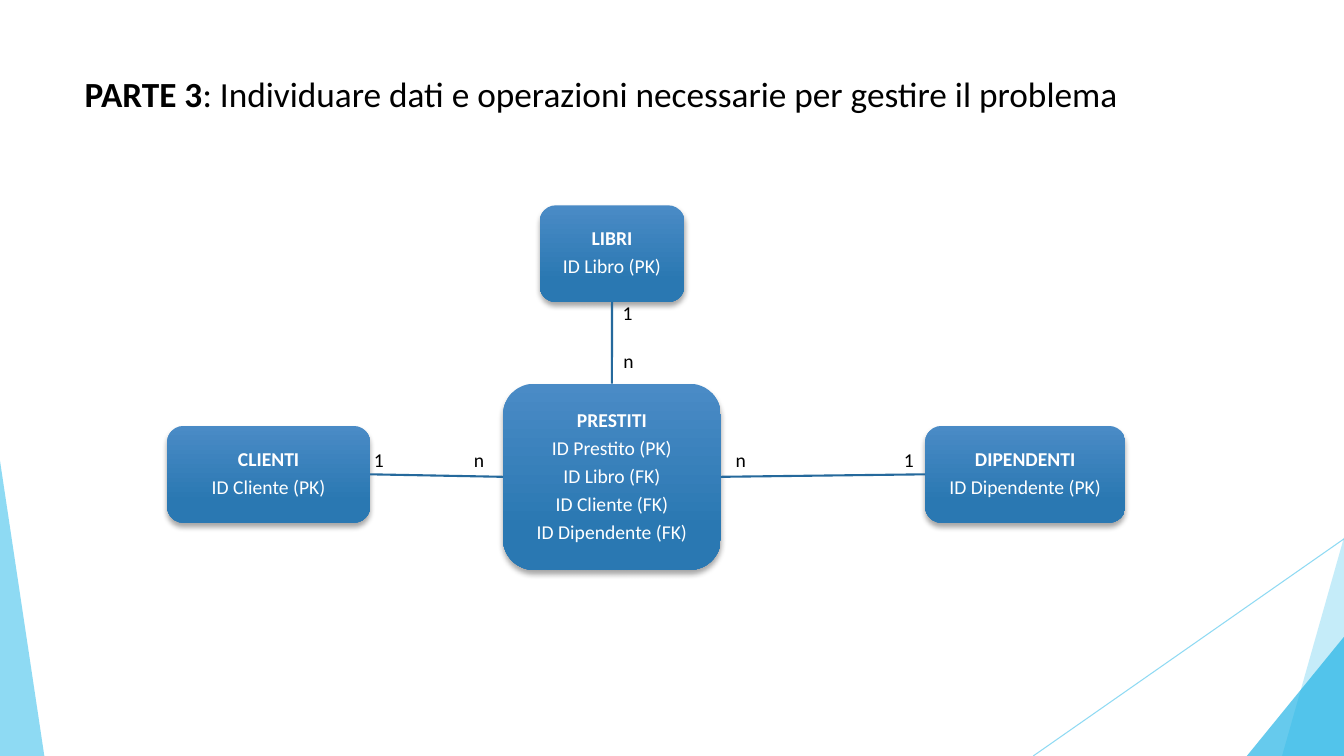
from lxml import etree
from pptx import Presentation
from pptx.dml.color import RGBColor
from pptx.enum.shapes import MSO_CONNECTOR as Link, MSO_SHAPE as Form
from pptx.enum.text import MSO_ANCHOR as Anchor, MSO_AUTO_SIZE as Fit, PP_ALIGN as Align
from pptx.oxml.ns import qn
from pptx.util import Pt

BLACK = RGBColor(0x00, 0x00, 0x00)
WHITE = RGBColor(0xFF, 0xFF, 0xFF)
SKY = RGBColor(0x5F, 0xCB, 0xEF)
CYAN = RGBColor(0x17, 0xB0, 0xE4)
BOX_TOP = RGBColor(0x4A, 0x8B, 0xC6)
BOX_END = RGBColor(0x2A, 0x78, 0xB2)
LINK = RGBColor(0x25, 0x69, 0x9C)

FONT = "Calibri"
WIDTH, HEIGHT = 960, 540
TOP, LEFT, BOTTOM, RIGHT = range(4)

TITLE = [("PARTE 3", True),
         (": Individuare dati e operazioni necessarie per gestire il problema", False)]
ENTITIES = {
    "PRESTITI": (["ID Prestito (PK)", "ID Libro (FK)", "ID Cliente (FK)",
                  "ID Dipendente (FK)"], (437.1, 340.6, 155.6, 133)),
    "LIBRI": (["ID Libro (PK)"], (437.2, 181.2, 103.4, 69)),
    "CLIENTI": (["ID Cliente (PK)"], (191.9, 338.8, 145, 69)),
    "DIPENDENTI": (["ID Dipendente (PK)"], (732.3, 338.8, 143, 69)),
}
RELATIONS = [("LIBRI", BOTTOM, TOP), ("CLIENTI", RIGHT, LEFT), ("DIPENDENTI", LEFT, RIGHT)]
CARDINALITIES = [("1", 260, 316.4), ("1", 437.7, 211.6), ("1", 638.6, 316.4),
                 ("n", 331.3, 316.4), ("n", 438.2, 245.5), ("n", 518.4, 316.4)]
RAY = (1220.4, 203), (738, HEIGHT)
BAND = [(1122.5, -189.4), (1220.4, -189.4), (1220.4, HEIGHT), (915.8, HEIGHT)]
TRIANGLES = [
    (CYAN, 66, 1, (890.6, 135.4, 329.8, 404.6)),
    (SKY, 70, 0, (-13.6, 238.4, 45.3, 301.6)),
]


def write(para, text, size=14, color=BLACK, bold=False):
    """Add a formatted span of text to a paragraph."""
    span = para.add_run()
    span.text = text
    span.font.name = FONT
    span.font.size = Pt(size)
    span.font.bold = bold
    span.font.color.rgb = color


def set_alpha(shape, percent):
    """Make the first colour of a shape translucent."""
    color = next(shape.element.spPr.iter(qn("a:srgbClr")))
    etree.SubElement(color, qn("a:alpha"), val=str(percent * 1000))


def paint(shape, color, alpha):
    """Give a shape a flat translucent fill without an outline."""
    shape.shadow.inherit = False
    shape.fill.solid()
    shape.fill.fore_color.rgb = color
    shape.line.fill.background()
    set_alpha(shape, alpha)


def add_line(page, start, end, color, weight):
    """Draw a straight line without a shadow."""
    line = page.shapes.add_connector(Link.STRAIGHT, *map(Pt, start + end))
    line.line.color.rgb = color
    line.line.width = Pt(weight)
    etree.SubElement(line.element.spPr, qn("a:effectLst"))
    return line


def add_entity(page, name, keys, center_x, center_y, width, height):
    """Draw an entity box with its name and keys."""
    box = page.shapes.add_shape(Form.ROUNDED_RECTANGLE, Pt(center_x - width / 2),
                                Pt(center_y - height / 2), Pt(width), Pt(height))
    box.line.fill.background()
    box.fill.gradient()
    box.fill.gradient_angle = 270
    for stop, color, position in zip(box.fill.gradient_stops, (BOX_TOP, BOX_END), (0, 0.78)):
        stop.color.rgb = color
        stop.position = position
    box.shadow.inherit = False
    effects = box.element.spPr.find(qn("a:effectLst"))
    shadow = etree.SubElement(effects, qn("a:outerShdw"), blurRad=str(Pt(4)),
                              dist=str(Pt(3)), dir="5400000", rotWithShape="0")
    shade = etree.SubElement(shadow, qn("a:srgbClr"), val=str(BLACK))
    etree.SubElement(shade, qn("a:alpha"), val="35000")
    frame = box.text_frame
    frame.word_wrap = True
    frame.vertical_anchor = Anchor.MIDDLE
    frame.margin_left = frame.margin_right = Pt(6)
    frame.margin_top = frame.margin_bottom = Pt(6)
    for index, text in enumerate([name] + keys):
        para = frame.add_paragraph() if index else frame.paragraphs[0]
        para.alignment = Align.CENTER
        para.line_spacing = 0.9
        para.space_after = Pt(4.9)
        write(para, text, color=WHITE, bold=index == 0)
    return box


deck = Presentation()
deck.slide_width, deck.slide_height = Pt(WIDTH), Pt(HEIGHT)
page = deck.slides.add_slide(deck.slide_layouts[5])

title = page.shapes.title
title.left, title.top, title.width, title.height = map(Pt, (53.3, 48.2, 769, 51.8))
title.text_frame.word_wrap = True
title.text_frame.auto_size = Fit.NONE
title.text_frame.vertical_anchor = Anchor.TOP
heading = title.text_frame.paragraphs[0]
heading.alignment = Align.LEFT
for text, bold in TITLE:
    write(heading, text, size=25.2, bold=bold)

set_alpha(add_line(page, *RAY, SKY, 0.75), 70)
corners = [(Pt(x), Pt(y)) for x, y in BAND]
builder = page.shapes.build_freeform(*corners[0], scale=1.0)
builder.add_line_segments(corners[1:], close=True)
paint(builder.convert_to_shape(), SKY, 36)
for color, alpha, apex, place in TRIANGLES:
    triangle = page.shapes.add_shape(Form.ISOSCELES_TRIANGLE, *map(Pt, place))
    triangle.adjustments[0] = apex
    paint(triangle, color, alpha)

boxes = {name: add_entity(page, name, keys, *place)
         for name, (keys, place) in ENTITIES.items()}
for name, own_side, loan_side in RELATIONS:
    relation = add_line(page, (0, 0), (0, 0), LINK, 1.5)
    relation.begin_connect(boxes[name], own_side)
    relation.end_connect(boxes["PRESTITI"], loan_side)

for text, left, top in CARDINALITIES:
    label = page.shapes.add_textbox(Pt(left), Pt(top), Pt(23), Pt(24.3))
    label.text_frame.word_wrap = True
    write(label.text_frame.paragraphs[0], text)

deck.save("out.pptx")
